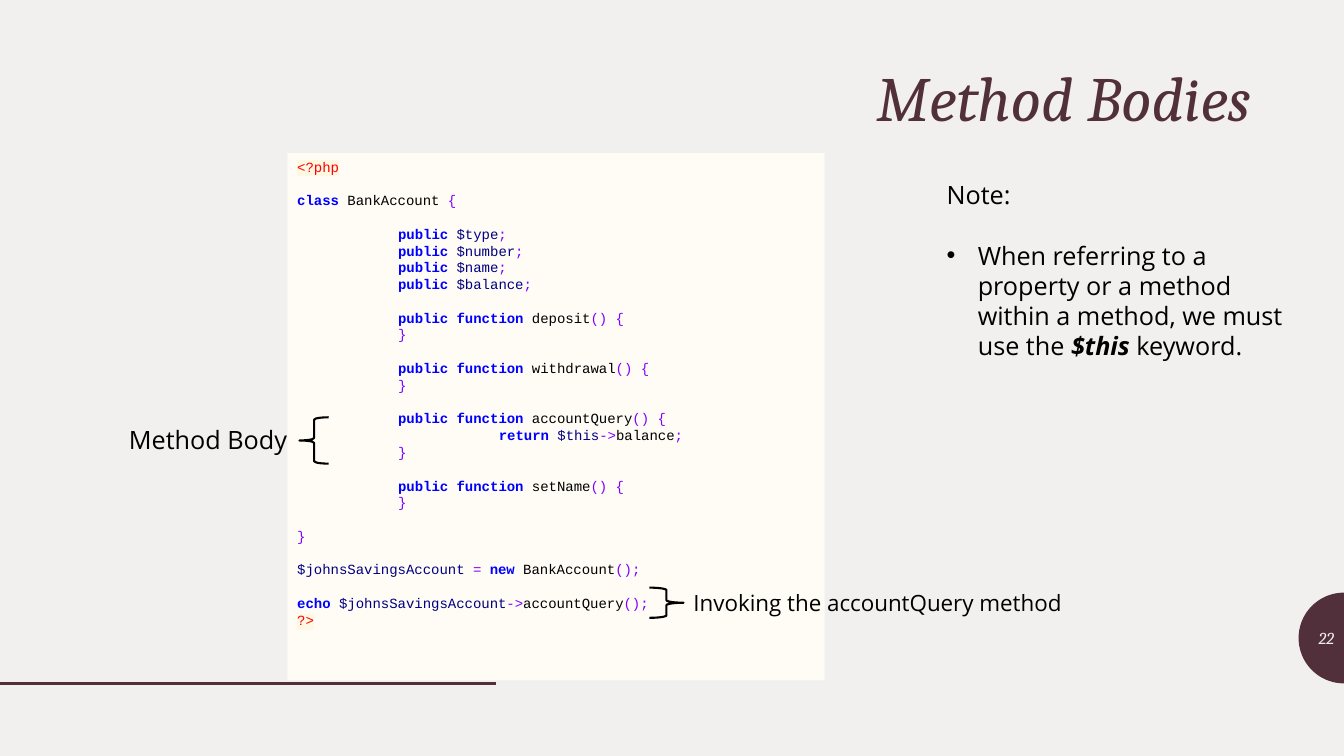
"""Build the slide "Method Bodies": a PHP class listing with braces, labels and a note."""
import math
from itertools import groupby

from lxml import etree
from pptx import Presentation
from pptx import util as u
from pptx.dml.color import RGBColor
from pptx.enum import shapes, text
from pptx.oxml import ns


class Theme:
    background, plum, panel = "F2F0EF", "51303B", "FEFCF5"
    black, keyword, variable, symbol = "000000", "0000FF", "000080", "8000FF"
    tag, tag_highlight = "FF0000", "FDF8E3"
    heading_font, code_font, body_font = "Cambria", "Courier New", "Open Sans"
    title_size, note_size, label_size, number_size, code_size = 45, 18, 16, 12, 10
    code_leading, note_leading = 12, 21.6


KEYWORDS = {"class", "public", "function", "return", "new", "echo"}
CODE = """<?php

class BankAccount {

\tpublic $type;
\tpublic $number;
\tpublic $name;
\tpublic $balance;

\tpublic function deposit() {
\t}

\tpublic function withdrawal() {
\t}

\tpublic function accountQuery() {
\t\treturn $this->balance;
\t}

\tpublic function setName() {
\t}

}

$johnsSavingsAccount = new BankAccount();

echo $johnsSavingsAccount->accountQuery();
?>"""


def style(font, name, size, color, italic=None):
    font.name, font.size, font.italic = name, u.Pt(size), italic
    font.color.rgb = RGBColor.from_string(color)


def add_text(box, content, name, size, color, italic=None, wrap=True):
    textbox = slide.shapes.add_textbox(*map(u.Inches, box))
    frame = textbox.text_frame
    frame.word_wrap = wrap
    frame.vertical_anchor = text.MSO_ANCHOR.MIDDLE
    paragraph = frame.paragraphs[0]
    paragraph.text = content
    style(paragraph.font, name, size, color, italic)
    return frame


presentation = Presentation()
presentation.slide_width, presentation.slide_height = u.Inches(13.33), u.Inches(7.5)
slide = presentation.slides.add_slide(presentation.slide_layouts[6])
slide.background.fill.solid()
slide.background.fill.fore_color.rgb = RGBColor.from_string(Theme.background)

radius, center_x, center_y = 0.45, 13.33, 6.33
arc = [(u.Inches(center_x - radius * math.sin(math.radians(angle))),
        u.Inches(center_y - radius * math.cos(math.radians(angle))))
       for angle in range(0, 181, 4)]
builder = slide.shapes.build_freeform(*arc[0])
builder.add_line_segments(arc[1:], close=True)
half_circle = builder.convert_to_shape()
half_circle.shadow.inherit = False
half_circle.fill.solid()
half_circle.fill.fore_color.rgb = RGBColor.from_string(Theme.plum)
half_circle.line.fill.background()

rule = slide.shapes.add_connector(
    shapes.MSO_CONNECTOR.STRAIGHT, 0, u.Inches(6.78), u.Inches(4.92), u.Inches(6.78))
rule.line.color.rgb = RGBColor.from_string(Theme.plum)
rule.line.width = u.Pt(2)
etree.SubElement(rule._element.spPr, ns.qn("a:effectLst"))

title = add_text((0.83, 0.62, 11.67, 0.76), "Method Bodies",
                 Theme.heading_font, Theme.title_size, Theme.plum, italic=True)
title.paragraphs[0].alignment = text.PP_ALIGN.RIGHT
title.paragraphs[0].line_spacing = 0.9

panel = slide.shapes.add_shape(
    shapes.MSO_SHAPE.RECTANGLE, *map(u.Inches, (2.85, 1.52, 5.33, 5.23)))
panel.shadow.inherit = False
panel.fill.solid()
panel.fill.fore_color.rgb = RGBColor.from_string(Theme.panel)
panel.line.fill.background()
listing = panel.text_frame
listing.word_wrap = True
listing.vertical_anchor = text.MSO_ANCHOR.TOP

for block_index, block in enumerate(CODE.split("\n\n")):
    for line_index, line in enumerate(block.split("\n")):
        first = block_index == line_index == 0
        paragraph = listing.paragraphs[0] if first else listing.add_paragraph()
        paragraph.alignment = text.PP_ALIGN.LEFT
        paragraph.line_spacing = u.Pt(Theme.code_leading)
        starts_block = block_index > 0 and line_index == 0
        paragraph.space_before = u.Pt(Theme.code_leading if starts_block else 0)
        tab_stops = etree.SubElement(paragraph._p.get_or_add_pPr(), ns.qn("a:tabLst"))
        for stop in (1, 2):
            etree.SubElement(tab_stops, ns.qn("a:tab"), pos=str(u.Inches(stop)), algn="l")
        is_tag = line in ("<?php", "?>")
        tokens = [line] if is_tag else [
            "".join(group) for _, group in groupby(
                line, lambda char: (char.isalnum() or char == "$", char.isspace()))]
        for token in tokens:
            run = paragraph.add_run()
            run.text = token
            run.font.bold = token in KEYWORDS
            if is_tag:
                color = Theme.tag
            elif token in KEYWORDS:
                color = Theme.keyword
            elif token.startswith("$"):
                color = Theme.variable
            elif token.isalnum() or token.isspace():
                color = Theme.black
            else:
                color = Theme.symbol
            style(run.font, Theme.code_font, Theme.code_size, color)
            if is_tag:
                highlight = etree.Element(ns.qn("a:highlight"))
                etree.SubElement(highlight, ns.qn("a:srgbClr"), val=Theme.tag_highlight)
                run.font.fill._xPr.find(ns.qn("a:solidFill")).addnext(highlight)

number = add_text((12.88, 6.13, 0.45, 0.4), "22",
                  Theme.heading_font, Theme.number_size, Theme.background, italic=True)
number.paragraphs[0].alignment = text.PP_ALIGN.RIGHT

note = add_text((9.29, 1.73, 3.73, 2.22), "Note:",
                Theme.body_font, Theme.note_size, Theme.black)
note.vertical_anchor = text.MSO_ANCHOR.TOP
note.paragraphs[0].line_spacing = u.Pt(Theme.note_leading)
bullet = note.add_paragraph()
bullet.line_spacing = bullet.space_before = u.Pt(Theme.note_leading)
properties = bullet._p.get_or_add_pPr()
properties.set("marL", str(u.Inches(0.31)))
properties.set("indent", str(u.Inches(-0.31)))
etree.SubElement(properties, ns.qn("a:buFont"), typeface="Arial")
etree.SubElement(properties, ns.qn("a:buChar"), char="•")
style(bullet.font, Theme.body_font, Theme.note_size, Theme.black)
for content, strong in (
        ("When referring to a property or a method within a method, we must use the ", None),
        ("$this", True),
        (" keyword.", None)):
    run = bullet.add_run()
    run.text = content
    run.font.bold = run.font.italic = strong

for kind, brace_box, label, label_box, size in (
        (shapes.MSO_SHAPE.LEFT_BRACE, (2.97, 4.14, 0.29, 0.46),
         "Method Body", (1.18, 4.16, 1.78, 0.4), Theme.note_size),
        (shapes.MSO_SHAPE.RIGHT_BRACE, (6.44, 5.83, 0.34, 0.3),
         "Invoking the accountQuery method", (6.78, 5.79, 3.96, 0.37), Theme.label_size)):
    brace = slide.shapes.add_shape(kind, *map(u.Inches, brace_box))
    brace.shadow.inherit = False
    brace.fill.background()
    brace.line.color.rgb = RGBColor.from_string(Theme.black)
    brace.line.width = u.Pt(1.5)
    add_text(label_box, label, Theme.body_font, size, Theme.black, wrap=False)

presentation.save("out.pptx")
